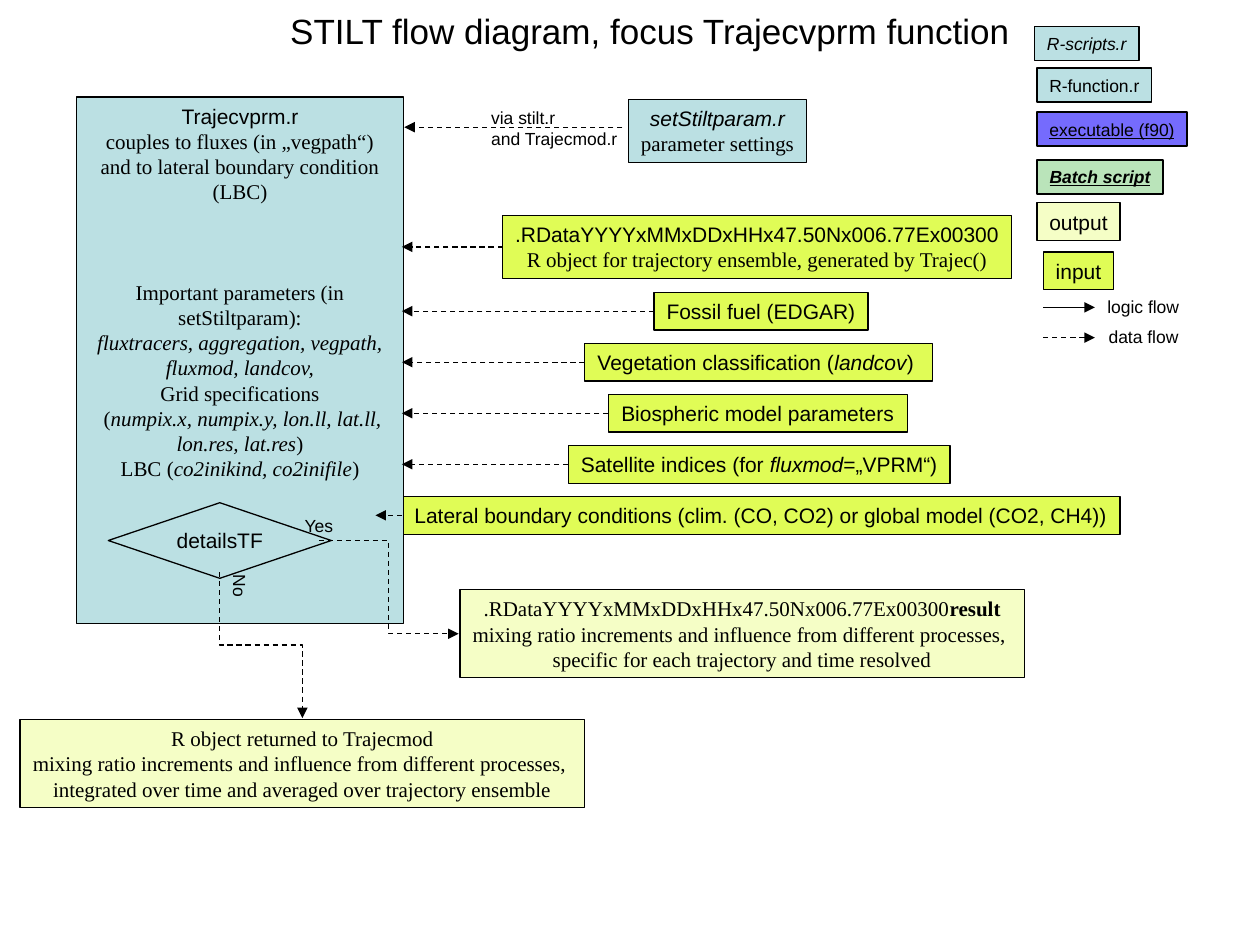
from dataclasses import dataclass, field

import pptx
import pptx.dml.color
import pptx.enum.dml
import pptx.enum.shapes
import pptx.enum.text
import pptx.oxml
import pptx.oxml.ns
import pptx.util
from pptx.util import Inches

ANCHOR = pptx.enum.text.MSO_ANCHOR
ALIGN = pptx.enum.text.PP_ALIGN
FIT = pptx.enum.text.MSO_AUTO_SIZE
SHAPE = pptx.enum.shapes.MSO_SHAPE


@dataclass(frozen=True)
class Theme:
    ink: str = "000000"
    code: str = "BBE0E3"
    executable: str = "756BFD"
    batch: str = "BAE4BA"
    output: str = "F5FEC6"
    input: str = "E0FC56"
    sans: str = "Arial"
    serif: str = "Times New Roman"
    title: float = 20
    body: float = 12
    small: float = 10
    line: float = 0.75


THEME = Theme()


@dataclass(frozen=True)
class Run:
    text: str
    style: dict = field(default_factory=dict)


@dataclass(frozen=True)
class Para:
    runs: list[Run]
    font: str = THEME.sans
    before: float = 0


@dataclass(frozen=True)
class Box:
    left: float
    top: float
    width: float
    height: float
    paras: list[Para]
    fill: str = ""
    size: float = THEME.body
    kind: int = SHAPE.FLOWCHART_PROCESS
    frame: dict = field(default_factory=dict)
    vertical: bool = False


@dataclass(frozen=True)
class Flow:
    start: tuple[float, float]
    end: tuple[float, float]
    dashed: bool = True
    downward: bool = False


def rgb(value: str) -> pptx.dml.color.RGBColor:
    return pptx.dml.color.RGBColor.from_string(value)


def apply(target: object, values: dict) -> None:
    for name, value in values.items():
        setattr(target, name, value)


def sans(text: str, **style) -> Para:
    return Para([Run(text, style)])


def serif(text: str, before: float = 0, **style) -> Para:
    return Para([Run(text, style)], THEME.serif, before)


def mixed(before: str, term: str, after: str, font: str = THEME.sans) -> Para:
    return Para([Run(before), Run(term, {"italic": True}), Run(after)], font)


def write(frame, paras: list[Para], size: float, align) -> None:
    for index, para in enumerate(paras):
        paragraph = frame.paragraphs[0] if index == 0 else frame.add_paragraph()
        paragraph.alignment = align
        if para.before:
            paragraph.space_before = pptx.util.Pt(para.before)
        for part in para.runs:
            run = paragraph.add_run()
            run.text = part.text
            run.font.color.rgb = rgb(THEME.ink)
            apply(run.font, {"name": para.font, "size": pptx.util.Pt(size), **part.style})


FILLED_FRAME = {
    "word_wrap": False, "auto_size": FIT.NONE, "vertical_anchor": ANCHOR.MIDDLE,
    "margin_left": Inches(0.07), "margin_right": Inches(0.07),
}
LABEL_FRAME = {
    "word_wrap": False, "auto_size": FIT.SHAPE_TO_FIT_TEXT, "margin_right": Inches(0.05),
}


def draw_box(slide, box: Box) -> None:
    place = [Inches(v) for v in (box.left, box.top, box.width, box.height)]
    if box.fill:
        shape = slide.shapes.add_shape(box.kind, *place)
        shape.shadow.inherit = False
        shape.fill.solid()
        shape.fill.fore_color.rgb = rgb(box.fill)
        shape.line.color.rgb = rgb(THEME.ink)
        shape.line.width = pptx.util.Pt(THEME.line)
    else:
        shape = slide.shapes.add_textbox(*place)
    frame = shape.text_frame
    apply(frame, {**(FILLED_FRAME if box.fill else LABEL_FRAME), **box.frame})
    if box.vertical:
        frame._txBody.bodyPr.set("vert", "eaVert")
    write(frame, box.paras, box.size, ALIGN.CENTER if box.fill else ALIGN.LEFT)


def draw_flow(slide, flow: Flow) -> None:
    (x1, y1), (x2, y2) = flow.start, flow.end
    if flow.downward:
        mid_x, mid_y = (x1 + x2) / 2, (y1 + y2) / 2
        half_w, half_h = (y2 - y1) / 2, (x2 - x1) / 2
        x1, y1, x2, y2 = mid_x + half_w, mid_y - half_h, mid_x - half_w, mid_y + half_h
    elbow = pptx.enum.shapes.MSO_CONNECTOR.ELBOW
    arrow = slide.shapes.add_connector(elbow, *[Inches(v) for v in (x1, y1, x2, y2)])
    properties = arrow._element.spPr
    if flow.downward:
        properties.find(pptx.oxml.ns.qn("a:xfrm")).set("rot", "16200000")
    arrow.line.color.rgb = rgb(THEME.ink)
    arrow.line.width = pptx.util.Pt(THEME.line)
    if flow.dashed:
        arrow.line.dash_style = pptx.enum.dml.MSO_LINE.DASH
    namespace = pptx.oxml.ns.nsdecls("a")
    head = pptx.oxml.parse_xml(f'<a:tailEnd {namespace} type="triangle"/>')
    properties.find(pptx.oxml.ns.qn("a:ln")).append(head)
    properties.append(pptx.oxml.parse_xml(f"<a:effectLst {namespace}/>"))


def draw_title(slide, text: str) -> None:
    title = slide.shapes.title
    apply(title, dict(left=Inches(0.66), top=0, width=Inches(9), height=Inches(0.49)))
    apply(title.text_frame, {"word_wrap": True, "auto_size": FIT.NONE,
                             "vertical_anchor": ANCHOR.MIDDLE})
    write(title.text_frame, [sans(text)], THEME.title, ALIGN.CENTER)


SMALL = THEME.small
SHARED_RESULT = "mixing ratio increments and influence from different processes, "
DATA_FILE = ".RDataYYYYxMMxDDxHHx47.50Nx006.77Ex00300"
MAIN_RIGHT = 3.19

LEGEND = [
    Box(8.21, 0.21, 0.83, 0.27, [sans("R-scripts.r", italic=True)], THEME.code, SMALL),
    Box(8.23, 0.54, 0.91, 0.27, [sans("R-function.r")], THEME.code, SMALL),
    Box(8.23, 0.89, 1.19, 0.27, [sans("executable (f90)", underline=True)], THEME.executable, SMALL),
    Box(8.23, 1.27, 1, 0.27, [sans("Batch script", bold=True, italic=True, underline=True)],
        THEME.batch, SMALL),
    Box(8.23, 1.61, 0.66, 0.3, [sans("output")], THEME.output),
    Box(8.28, 2, 0.56, 0.3, [sans("input")], THEME.input),
    Box(8.69, 2.3, 0.77, 0.27, [sans("logic flow")], size=SMALL),
    Box(8.7, 2.54, 0.75, 0.27, [sans("data flow")], size=SMALL),
]
INPUT_ROWS = [
    (5.19, 1.7, sans("Fossil fuel (EDGAR)")),
    (4.64, 2.76, mixed("Vegetation classification (", "landcov", ") ")),
    (4.83, 2.37, sans("Biospheric model parameters")),
    (4.51, 3.03, mixed("Satellite indices (for ", "fluxmod", "=„VPRM“)")),
    (MAIN_RIGHT, 5.7,
     sans("Lateral boundary conditions (clim. (CO, CO2) or global model (CO2, CH4))")),
]
INPUTS = [Box(left, 2.32 + 0.405 * row, width, 0.3, [label], THEME.input)
          for row, (left, width, label) in enumerate(INPUT_ROWS)]
TRAJECTORY = Box(3.99, 1.71, 4.04, 0.5, [
    sans(DATA_FILE), serif("R object for trajectory ensemble, generated by Trajec()")], THEME.input)
SETTINGS = [
    Box(4.99, 0.79, 1.41, 0.5,
        [sans("setStiltparam.r", italic=True), serif("parameter settings")], THEME.code),
    Box(3.8, 0.8, 1.2, 0.44, [sans("via stilt.r"), sans("and Trajecmod.r")], size=SMALL),
]
MAIN = Box(0.61, 0.77, 2.59, 4.18, [
    sans("Trajecvprm.r"),
    serif(" couples to fluxes (in „vegpath“) "),
    serif("and to lateral boundary condition (LBC)"),
    serif("Important parameters (in setStiltparam):", before=43),
    serif("fluxtracers, aggregation, vegpath, fluxmod, landcov,", italic=True),
    serif("Grid specifications"),
    mixed(" (", "numpix.x, numpix.y, lon.ll, lat.ll, lon.res, lat.res", ")", THEME.serif),
    mixed("LBC (", "co2inikind, co2inifile", ")", THEME.serif),
], THEME.code, frame={"word_wrap": True, "vertical_anchor": ANCHOR.TOP,
                      "margin_left": Inches(0.1), "margin_right": Inches(0.1)})
DECISION = [
    Box(2.32, 4.04, 0.44, 0.27, [sans("Yes")], size=SMALL),
    Box(1.67, 4.46, 0.36, 0.28, [sans("No")], size=SMALL, vertical=True, frame={
        "margin_left": Inches(0.05), "margin_right": Inches(0.05),
        "margin_top": Inches(0.1), "margin_bottom": Inches(0.05)}),
    Box(0.86, 3.99, 1.77, 0.6, [sans("detailsTF")], THEME.code, kind=SHAPE.DIAMOND),
]
RESULTS = [
    Box(3.65, 4.68, 4.48, 0.7, [
        Para([Run(DATA_FILE), Run("result", {"bold": True})], THEME.serif),
        serif(SHARED_RESULT), serif("specific for each trajectory and time resolved")], THEME.output),
    Box(0.16, 5.71, 4.48, 0.7, [
        serif("R object returned to Trajecmod"), serif(SHARED_RESULT),
        serif("integrated over time and averaged over trajectory ensemble")], THEME.output),
]


def input_flow(box: Box) -> Flow:
    middle = box.top + box.height / 2
    tip = MAIN_RIGHT if box.left > MAIN_RIGHT else 2.98
    return Flow((box.left, middle), (tip, middle))


FLOWS = [
    Flow((8.28, 2.44), (8.69, 2.44), dashed=False),
    Flow((8.28, 2.68), (8.69, 2.68)),
    Flow((4.94, 1.01), (3.21, 1.01)),
    *[input_flow(box) for box in [TRAJECTORY, *INPUTS]],
    Flow((2.53, 4.29), (3.64, 5.03)),
    Flow((1.74, 4.54), (2.4, 5.7), downward=True),
]


def main() -> None:
    deck = pptx.Presentation()
    apply(deck, {"slide_width": Inches(10), "slide_height": Inches(7.5)})
    slide = deck.slides.add_slide(deck.slide_layouts[5])
    draw_title(slide, "STILT flow diagram, focus Trajecvprm function")
    for box in [*SETTINGS, *LEGEND, *INPUTS, TRAJECTORY, MAIN, *DECISION, *RESULTS]:
        draw_box(slide, box)
    for flow in FLOWS:
        draw_flow(slide, flow)
    deck.save("out.pptx")


if __name__ == "__main__":
    main()
